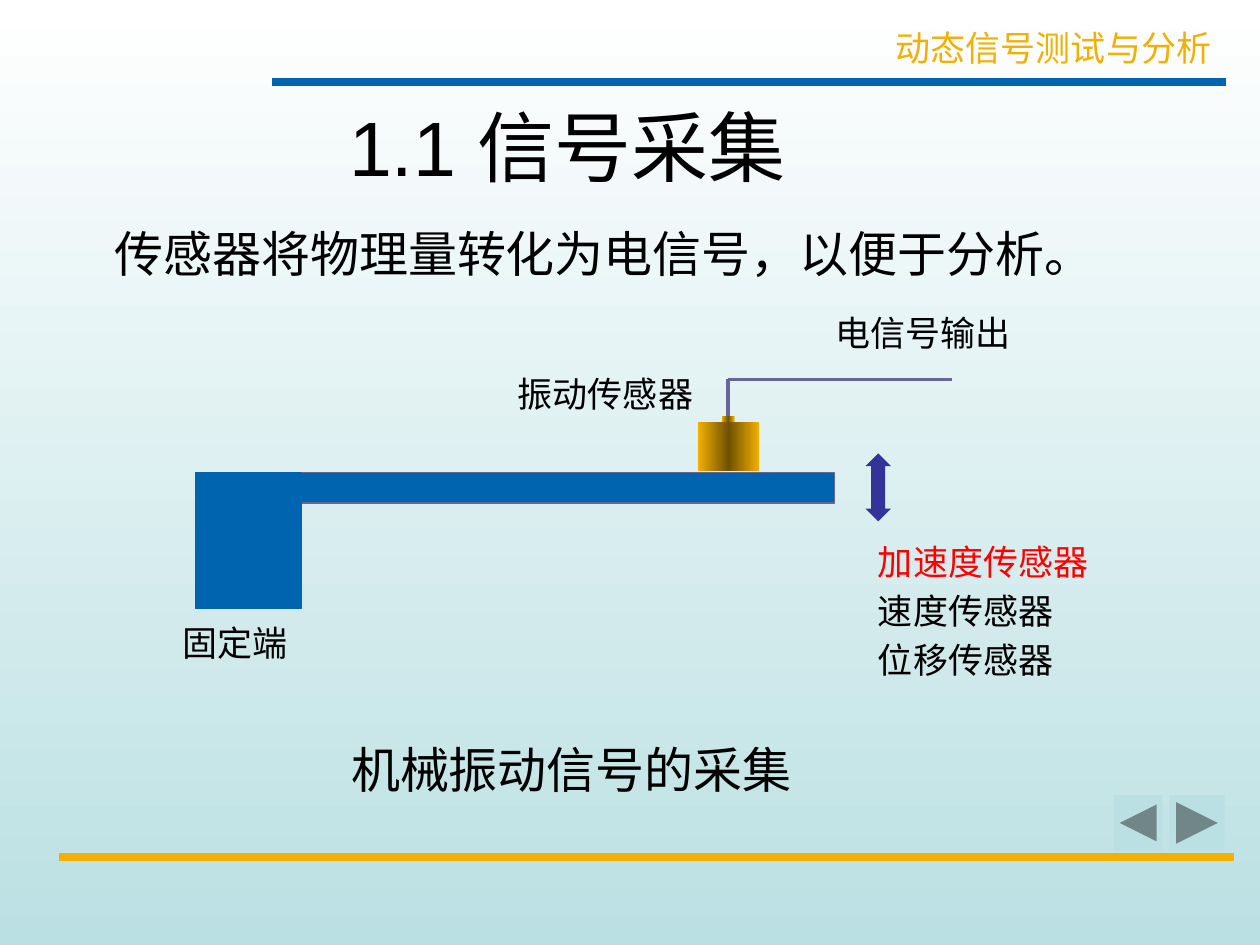
import copy
from dataclasses import dataclass

import pptx
import pptx.dml.color
import pptx.enum.shapes
import pptx.enum.text
import pptx.oxml.ns
import pptx.oxml.xmlchemy
import pptx.util
from lxml import etree

Cm = pptx.util.Cm
Pt = pptx.util.Pt
RGBColor = pptx.dml.color.RGBColor
Shape = pptx.enum.shapes.MSO_SHAPE
Align = pptx.enum.text.PP_ALIGN
qn = pptx.oxml.ns.qn

WHITE = RGBColor(0xFF, 0xFF, 0xFF)
BLACK = RGBColor(0, 0, 0)
RED = RGBColor(0xFF, 0, 0)
PALE_TEAL = RGBColor(0xBB, 0xE0, 0xE3)
BLUE = RGBColor(0x00, 0x64, 0xAE)
INDIGO = RGBColor(0x33, 0x33, 0x99)
SLATE = RGBColor(0x66, 0x66, 0x99)
GOLD = RGBColor(0xF3, 0xB0, 0x03)
DARK_GOLD = RGBColor(0x70, 0x51, 0x01)
FONT = "Arial"
HANGING = Cm(0.95)


@dataclass(frozen=True)
class Area:
    left: float
    top: float
    width: float
    height: float

    def lengths(self) -> tuple:
        return Cm(self.left), Cm(self.top), Cm(self.width), Cm(self.height)


@dataclass(frozen=True)
class Line:
    text: str
    color: RGBColor = BLACK


@dataclass(frozen=True)
class Label:
    area: Area
    lines: tuple[Line, ...]
    size: int = 20


@dataclass(frozen=True)
class Block:
    kind: int
    area: Area
    fill: RGBColor
    outline: RGBColor | None = None


HEADING = Label(Area(17.58, 0.41, 7.09, 1.09), (Line("动态信号测试与分析", GOLD),))
LABELS = (
    Label(Area(2.06, 4.39, 21.39, 1.5),
          (Line("传感器将物理量转化为电信号，以便于分析。"),), 28),
    Label(Area(3.43, 12.4, 3.38, 0.99), (Line("固定端"),)),
    Label(Area(6.83, 14.78, 9.75, 1.5), (Line("机械振动信号的采集"),), 28),
    Label(Area(10.19, 7.39, 4.11, 0.99), (Line("振动传感器"),)),
    Label(Area(16.59, 6.15, 4.11, 0.99), (Line("电信号输出"),)),
    Label(Area(17.45, 10.77, 5.44, 3.51),
          (Line("加速度传感器", RED), Line("速度传感器"), Line("位移传感器"))),
)
BLOCKS = (
    Block(Shape.ACTION_BUTTON_BACK_OR_PREVIOUS, Area(22.45, 16.03, 0.99, 1.12), PALE_TEAL),
    Block(Shape.ACTION_BUTTON_FORWARD_OR_NEXT, Area(23.57, 16.03, 1.12, 1.12), PALE_TEAL),
    Block(Shape.RECTANGLE, Area(4.7, 9.53, 12.12, 0.61), BLUE, SLATE),
    Block(Shape.RECTANGLE, Area(3.94, 9.53, 2.13, 2.74), BLUE, BLUE),
)
SENSOR = Block(Shape.RECTANGLE, Area(14.07, 8.51, 1.24, 0.99), GOLD)
SENSOR_TIP = Block(Shape.RECTANGLE, Area(14.55, 8.38, 0.26, 0.13), GOLD)
MOTION_ARROW = Block(Shape.UP_DOWN_ARROW, Area(17.45, 9.14, 0.51, 1.37), INDIGO)


def add_span(para, line: Line, size: int) -> None:
    span = para.add_run()
    span.text = line.text
    span.font.name = FONT
    span.font.size = Pt(size)
    span.font.color.rgb = line.color


def add_label(page, label: Label, align=Align.LEFT, hanging: int = HANGING) -> None:
    box = page.shapes.add_textbox(*label.area.lengths())
    frame = box.text_frame
    frame.word_wrap = True
    for index, line in enumerate(label.lines):
        para = frame.add_paragraph() if index else frame.paragraphs[0]
        para.alignment = align
        if index:
            para.space_before = Pt(4)
        if hanging:
            properties = para._p.get_or_add_pPr()
            properties.set("marL", str(hanging))
            properties.set("indent", str(-hanging))
        add_span(para, line, label.size)


def add_block(page, block: Block):
    shape = page.shapes.add_shape(block.kind, *block.area.lengths())
    shape.shadow.inherit = False
    shape.fill.solid()
    shape.fill.fore_color.rgb = block.fill
    if block.outline is None:
        shape.line.fill.background()
    else:
        shape.line.color.rgb = block.outline
        shape.line.width = Pt(0.75)
    return shape


def add_metal_block(page, block: Block):
    """Add a block shaded from gold at both sides to dark in the middle."""
    shape = add_block(page, block)
    shape.fill.gradient()
    shape.fill.gradient_angle = 0
    stops = shape._element.spPr.find(".//" + qn("a:gsLst"))
    stops.insert(1, copy.deepcopy(stops[0]))
    stops[1].set("pos", "50000")
    for stop, color in zip(shape.fill.gradient_stops, (GOLD, DARK_GOLD, GOLD)):
        stop.color.rgb = color
    return shape


def add_line(page, start: tuple, end: tuple, color: RGBColor, width: float):
    line = page.shapes.add_connector(
        pptx.enum.shapes.MSO_CONNECTOR.STRAIGHT, *map(Cm, start + end))
    line.line.color.rgb = color
    line.line.width = Pt(width)
    etree.SubElement(line._element.spPr, qn("a:effectLst"))
    return line


def paint_background(page) -> None:
    fill = page.background.fill
    fill.gradient()
    fill.gradient_angle = 270
    for stop, color in zip(fill.gradient_stops, (WHITE, PALE_TEAL)):
        stop.color.rgb = color


def set_title(page) -> None:
    title = page.shapes.title
    title.left, title.top, title.width, title.height = Area(5.56, 2.08, 11.76, 1.73).lengths()
    frame = title.text_frame
    frame.vertical_anchor = pptx.enum.text.MSO_ANCHOR.MIDDLE
    frame.paragraphs[0].alignment = Align.CENTER
    add_span(frame.paragraphs[0], Line("1.1 信号采集"), 44)


def main() -> None:
    deck = pptx.Presentation()
    deck.slide_width, deck.slide_height = Cm(25.4), Cm(19.05)
    page = deck.slides.add_slide(deck.slide_layouts[5])
    paint_background(page)
    set_title(page)

    add_line(page, (5.49, 1.65), (24.71, 1.65), BLUE, 4.5)
    add_label(page, HEADING, Align.RIGHT, hanging=0)
    add_line(page, (1.19, 17.27), (24.87, 17.27), GOLD, 4.5)

    for block in BLOCKS:
        add_block(page, block)
    add_metal_block(page, SENSOR)
    tip = add_metal_block(page, SENSOR_TIP)
    cable_corner = (14.68, 7.65)
    cable = add_line(page, (14.68, 8.38), cable_corner, SLATE, 2.25)
    cable.begin_connect(tip, 0)
    add_line(page, cable_corner, (19.2, 7.65), SLATE, 2.25)
    arrow = add_block(page, MOTION_ARROW)
    arrow.adjustments[0] = 0.5
    arrow.adjustments[1] = 0.55

    for label in LABELS:
        add_label(page, label)
    deck.save("out.pptx")


if __name__ == "__main__":
    main()
